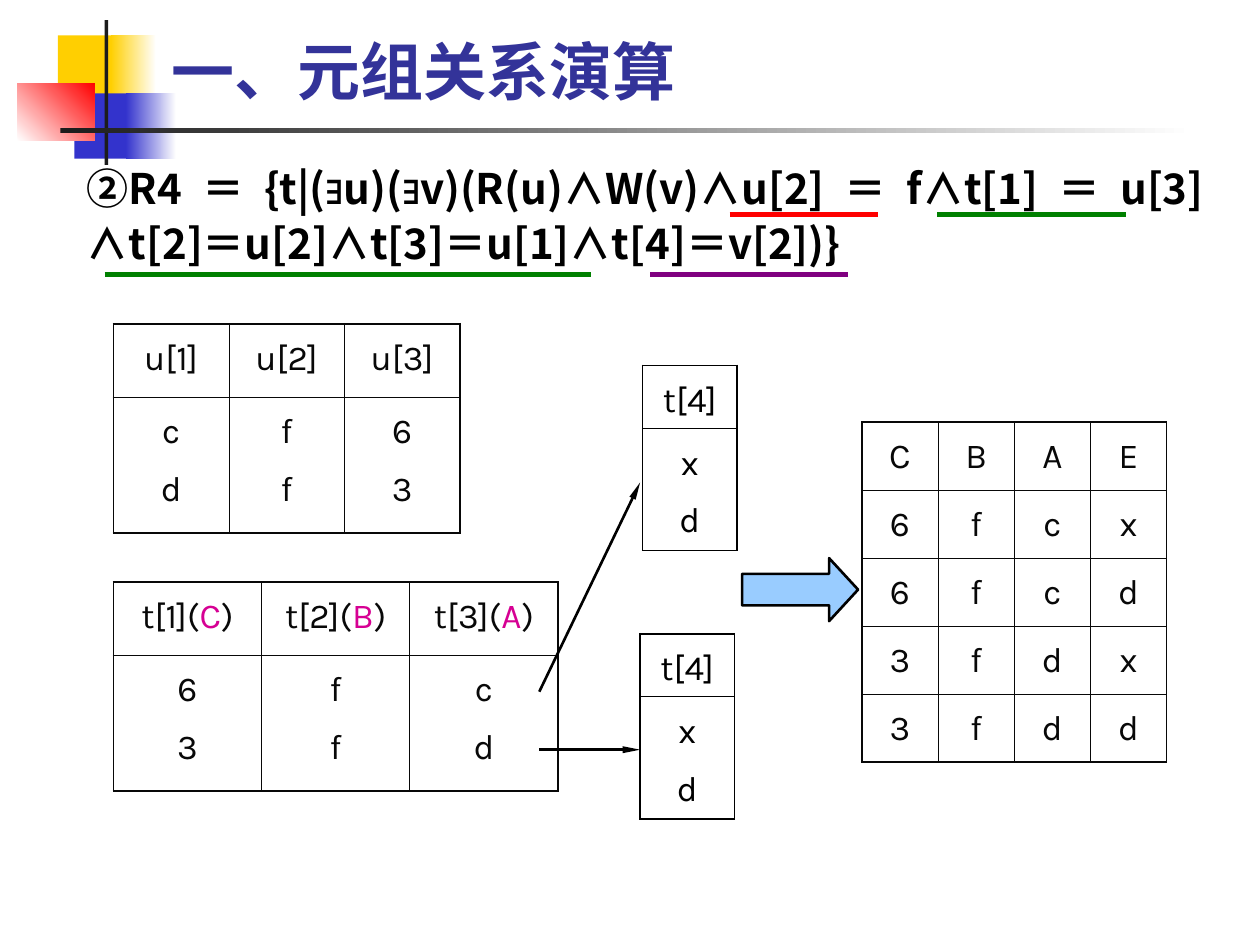
from dataclasses import dataclass
from typing import Optional

import pptx
import pptx.dml.color
import pptx.enum.shapes
import pptx.enum.text
import pptx.oxml
import pptx.oxml.ns
import pptx.util
from lxml import etree

Inches = pptx.util.Inches
Pt = pptx.util.Pt
RGBColor = pptx.dml.color.RGBColor
SHAPE = pptx.enum.shapes.MSO_SHAPE
ALIGN = pptx.enum.text.PP_ALIGN
ANCHOR = pptx.enum.text.MSO_ANCHOR
qn = pptx.oxml.ns.qn

BLACK = RGBColor(0x00, 0x00, 0x00)
INK = RGBColor(0x08, 0x08, 0x08)
CHARCOAL = RGBColor(0x1C, 0x1C, 0x1C)
WHITE = RGBColor(0xFF, 0xFF, 0xFF)
YELLOW = RGBColor(0xFF, 0xCF, 0x01)
BLUE = RGBColor(0x33, 0x33, 0xCC)
NAVY = RGBColor(0x33, 0x33, 0x99)
RED = RGBColor(0xFF, 0x00, 0x00)
GREEN = RGBColor(0x00, 0x80, 0x00)
PURPLE = RGBColor(0x80, 0x00, 0x80)
MAGENTA = RGBColor(0xD6, 0x00, 0x93)
SKY = RGBColor(0x99, 0xCC, 0xFF)

LATIN, CJK, SYMBOL = "Karla", "Noto Sans CJK SC", "Arial"
OUTER, INNER = 1.08, 0.45


@dataclass
class Block:
    left: float
    top: float
    width: float
    height: float
    color: RGBColor
    fade_to: Optional[RGBColor] = None
    angle: float = 0


@dataclass
class Grid:
    """Cells split paragraphs at a line break; text between bars is highlighted."""
    left: float
    top: float
    width: float
    row_heights: list[float]
    rows: list[list[str]]
    color: RGBColor = INK


@dataclass
class Line:
    start: tuple[float, float]
    end: tuple[float, float]
    color: RGBColor
    width: float
    arrow: bool = False


BLOCKS = [
    Block(0.46, 0.28, 0.48, 0.52, YELLOW),
    Block(0.88, 0.28, 0.36, 0.52, YELLOW, WHITE),
    Block(0.59, 0.74, 0.46, 0.52, BLUE),
    Block(1.0, 0.74, 0.4, 0.52, BLUE, WHITE),
    Block(0.14, 0.66, 0.61, 0.46, WHITE, RED, 45),
    Block(0.83, 0.16, 0.03, 1.15, CHARCOAL),
    Block(0.48, 1.02, 9, 0.04, CHARCOAL, WHITE),
]
FORMULA = [
    ("②R4＝{t|(", CJK), ("∃", SYMBOL), ("u)(", CJK), ("∃", SYMBOL),
    ("v)(R(u)∧W(v)∧u[2]＝f∧t[1]＝u[3] ∧t[2]＝u[2]∧t[3]＝u[1]∧t[4]＝v[2])}", CJK),
]
T4_ROWS = [["t[4]"], ["x\nd"]]
GRIDS = [
    Grid(0.9, 2.57, 2.75, [0.58, 1.08],
         [["u[1]", "u[2]", "u[3]"], ["c\nd", "f\nf", "6\n3"]]),
    Grid(0.9, 4.62, 3.53, [0.58, 1.08],
         [["t[1](|C|)", "t[2](|B|)", "t[3](|A|)"], ["6\n3", "f\nf", "c\nd"]]),
    Grid(5.1, 2.9, 0.75, [0.5, 0.97], T4_ROWS, BLACK),
    Grid(5.08, 5.03, 0.75, [0.5, 0.97], T4_ROWS, BLACK),
    Grid(6.84, 3.35, 2.42, [0.54] * 5,
         [list(row) for row in ("CBAE", "6fcx", "6fcd", "3fdx", "3fdd")]),
]
ARROWS = [
    Line((4.28, 5.49), (5.08, 3.83), BLACK, 1.5, True),
    Line((4.28, 5.95), (5.08, 5.95), BLACK, 1.5, True),
]
UNDERLINES = [
    Line((5.79, 1.7), (6.97, 1.7), RED, 3),
    Line((7.44, 1.7), (8.94, 1.7), GREEN, 3),
    Line((0.83, 2.18), (4.69, 2.18), GREEN, 3),
    Line((5.16, 2.18), (6.73, 2.18), PURPLE, 3),
]


def add_run(p, text: str, font: str, east_asian: str, size: float,
            color: RGBColor, bold: bool = False) -> None:
    r = p.add_run()
    r.text = text
    for name, value in {"name": font, "size": Pt(size), "bold": bold}.items():
        setattr(r.font, name, value)
    r.font.color.rgb = color
    etree.SubElement(r.font._element, qn("a:ea"), typeface=east_asian)


def add_text_box(s, left: float, top: float, width: float, height: float, anchor):
    tf = s.shapes.add_textbox(Inches(left), Inches(top), Inches(width), Inches(height)).text_frame
    tf.word_wrap = True
    tf.vertical_anchor = anchor
    return tf.paragraphs[0]


def add_block(s, block: Block) -> None:
    sp = s.shapes.add_shape(SHAPE.RECTANGLE, Inches(block.left), Inches(block.top),
                            Inches(block.width), Inches(block.height))
    sp.shadow.inherit = False
    sp.line.fill.background()
    if block.fade_to is None:
        sp.fill.solid()
        sp.fill.fore_color.rgb = block.color
        return
    sp.fill.gradient()
    sp.fill.gradient_angle = block.angle
    for stop, color in zip(sp.fill.gradient_stops, (block.color, block.fade_to)):
        stop.color.rgb = color


def set_border(cell, side: str, width: float, color: RGBColor) -> None:
    ln = etree.SubElement(cell._tc.get_or_add_tcPr(), qn(f"a:ln{side}"), w=str(Pt(width)))
    fill = etree.SubElement(ln, qn("a:solidFill"))
    etree.SubElement(fill, qn("a:srgbClr"), val=str(color))


def fill_cell(cell, text: str, color: RGBColor) -> None:
    tf = cell.text_frame
    for i, line in enumerate(text.split("\n")):
        p = tf.add_paragraph() if i else tf.paragraphs[0]
        layout = {"alignment": ALIGN.CENTER, "line_spacing": 1.2, "space_before": Pt(5 if i else 0)}
        for name, value in layout.items():
            setattr(p, name, value)
        for j, part in enumerate(line.split("|")):
            add_run(p, part, LATIN, CJK, 20, MAGENTA if j % 2 else color)


def add_grid(s, grid: Grid) -> None:
    n_rows, n_cols = len(grid.rows), len(grid.rows[0])
    table = s.shapes.add_table(n_rows, n_cols, Inches(grid.left), Inches(grid.top),
                               Inches(grid.width), Inches(sum(grid.row_heights))).table
    table.first_row = table.horz_banding = False
    for column in table.columns:
        column.width = Inches(grid.width / n_cols)
    for i, (height, row) in enumerate(zip(grid.row_heights, grid.rows)):
        table.rows[i].height = Inches(height)
        for j, text in enumerate(row):
            cell = table.cell(i, j)
            fill_cell(cell, text, grid.color)
            on_edge = {"L": j == 0, "R": j == n_cols - 1, "T": i == 0, "B": i == n_rows - 1}
            for side, edge in on_edge.items():
                set_border(cell, side, OUTER if edge else INNER, grid.color)
            cell.fill.background()


def add_line(s, line: Line) -> None:
    x1, y1, x2, y2 = (Inches(v) for v in (*line.start, *line.end))
    cx = s.shapes.add_connector(pptx.enum.shapes.MSO_CONNECTOR.STRAIGHT, x1, y1, x2, y2)
    cx.line.color.rgb = line.color
    cx.line.width = Pt(line.width)
    if line.arrow:
        etree.SubElement(cx.line._get_or_add_ln(), qn("a:tailEnd"), type="triangle", w="sm", len="lg")
    etree.SubElement(cx._element.spPr, qn("a:effectLst"))


def add_result_arrow(s) -> None:
    sp = s.shapes.add_shape(SHAPE.RIGHT_ARROW, Inches(5.89), Inches(4.43), Inches(0.92), Inches(0.5))
    sp.shadow.inherit = False
    sp.adjustments[0], sp.adjustments[1] = 0.5, 0.46
    sp.fill.solid()
    sp.fill.fore_color.rgb = SKY
    sp.line.color.rgb = BLACK
    sp.line.width = Pt(1.5)


def main() -> None:
    prs = pptx.Presentation()
    prs.slide_width, prs.slide_height = Inches(10), Inches(7.5)
    s = prs.slides.add_slide(prs.slide_layouts[6])
    for block in BLOCKS:
        add_block(s, block)
    p = add_text_box(s, 0.59, 1.2, 9.06, 0.98, ANCHOR.TOP)
    p.alignment, p.line_spacing = ALIGN.JUSTIFY, 1.1
    for text, font in FORMULA:
        add_run(p, text, font, font, 24, BLACK, True)
    for grid in GRIDS:
        add_grid(s, grid)
    add_result_arrow(s)
    p = add_text_box(s, 1.26, 0.23, 8.52, 0.68, ANCHOR.BOTTOM)
    add_run(p, "一、元组关系演算", LATIN, CJK, 36, NAVY, True)
    for line in ARROWS + UNDERLINES:
        add_line(s, line)
    prs.save("out.pptx")


if __name__ == "__main__":
    main()
